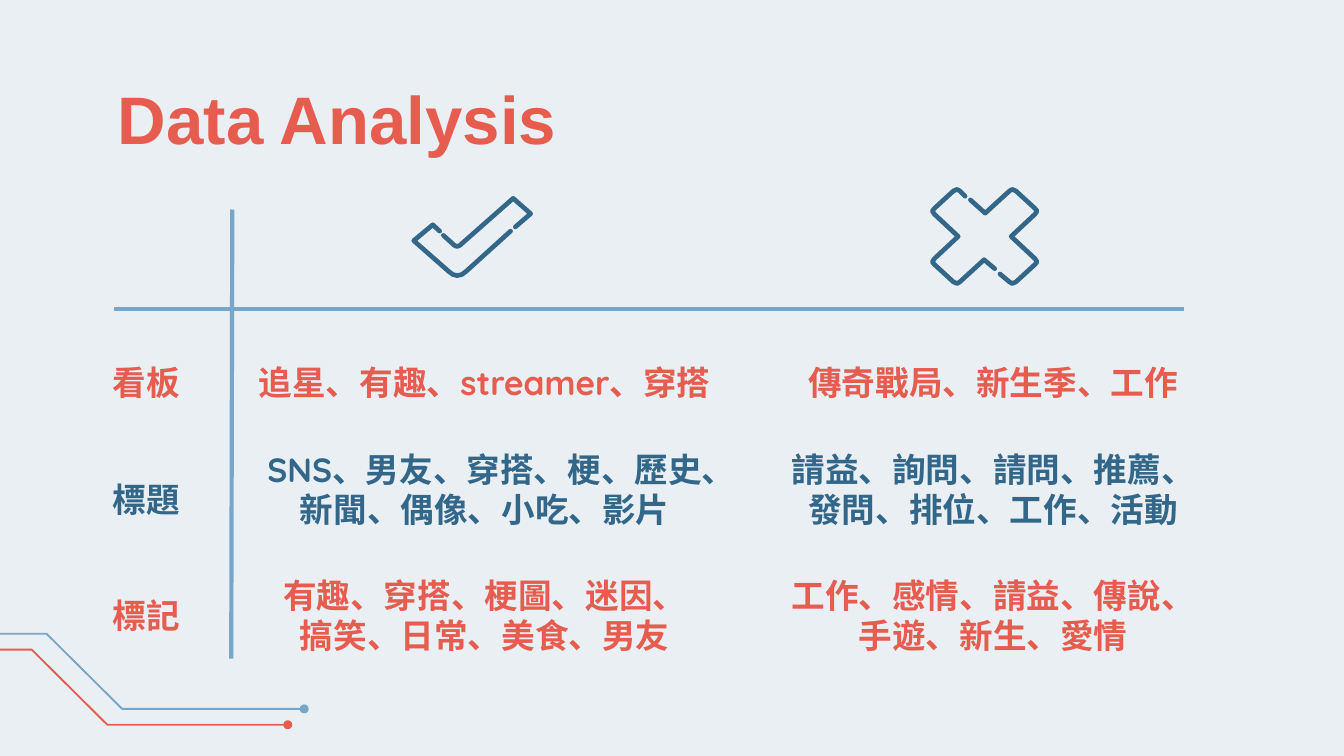
from dataclasses import dataclass

from lxml import etree
from pptx import Presentation
from pptx import util as u
from pptx.dml.color import RGBColor
from pptx.enum import shapes, text
from pptx.oxml.ns import qn


@dataclass(frozen=True)
class Theme:
    background: str = "EAEFF3"
    coral: str = "E65C4F"
    navy: str = "33678A"
    sky: str = "78A6C9"
    title_font: str = "Arial"
    body_font: str = "Quicksand"
    title_size: float = 36
    body_size: float = 18
    rule_width: float = 2.25
    icon_width: float = 2.5
    trace_width: float = 1


class SlideBuilder:
    """Adds styled elements to one slide; all lengths are centimetres."""

    def __init__(self, presentation, theme):
        self.theme = theme
        self.slide = presentation.slides.add_slide(presentation.slide_layouts[5])
        fill = self.slide.background.fill
        fill.solid()
        fill.fore_color.rgb = RGBColor.from_string(theme.background)

    def format_text(self, frame, words, font_name, size, color, align):
        frame.word_wrap = True
        frame.vertical_anchor = text.MSO_ANCHOR.TOP
        frame.margin_left = frame.margin_right = u.Cm(0.25)
        frame.margin_top = frame.margin_bottom = u.Cm(0.25)
        paragraph = frame.paragraphs[0]
        paragraph.text = words
        paragraph.alignment = align
        font = paragraph.font
        font.name, font.size, font.bold = font_name, u.Pt(size), True
        font.color.rgb = RGBColor.from_string(color)
        return paragraph

    def title(self, words, left, top, width, height):
        shape = self.slide.shapes.title
        shape.left, shape.top = u.Cm(left), u.Cm(top)
        shape.width, shape.height = u.Cm(width), u.Cm(height)
        frame = shape.text_frame
        self.format_text(frame, words, self.theme.title_font, self.theme.title_size,
                         self.theme.coral, text.PP_ALIGN.LEFT)
        frame.auto_size = text.MSO_AUTO_SIZE.NONE
        frame.margin_top = u.Cm(0.39)

    def entry(self, words, center, top, width, height, color):
        shape = self.slide.shapes.add_textbox(
            u.Cm(center - width / 2), u.Cm(top), u.Cm(width), u.Cm(height))
        frame = shape.text_frame
        paragraph = self.format_text(frame, words, self.theme.body_font,
                                     self.theme.body_size, color, text.PP_ALIGN.CENTER)
        paragraph.space_after = u.Pt(16)
        frame.auto_size = text.MSO_AUTO_SIZE.SHAPE_TO_FIT_TEXT

    def rule(self, start, end):
        connector = self.slide.shapes.add_connector(
            shapes.MSO_CONNECTOR.STRAIGHT, *map(u.Cm, (*start, *end)))
        connector.line.color.rgb = RGBColor.from_string(self.theme.sky)
        connector.line.width = u.Pt(self.theme.rule_width)
        etree.SubElement(connector.element.spPr, qn("a:effectLst"))

    def stroke(self, points, color, width):
        """Draw an open outline with round ends and corners."""
        start, *others = [(u.Cm(x), u.Cm(y)) for x, y in points]
        builder = self.slide.shapes.build_freeform(*start)
        builder.add_line_segments(others, close=False)
        shape = builder.convert_to_shape()
        shape.shadow.inherit = False
        shape.fill.background()
        shape.line.color.rgb = RGBColor.from_string(color)
        shape.line.width = u.Pt(width)
        outline = shape.element.spPr.find(qn("a:ln"))
        outline.set("cap", "rnd")
        etree.SubElement(outline, qn("a:round"))

    def dot(self, center, diameter, color):
        x, y = center
        shape = self.slide.shapes.add_shape(
            shapes.MSO_SHAPE.OVAL, u.Cm(x - diameter / 2), u.Cm(y - diameter / 2),
            u.Cm(diameter), u.Cm(diameter))
        shape.shadow.inherit = False
        shape.fill.solid()
        shape.fill.fore_color.rgb = RGBColor.from_string(color)
        shape.line.fill.background()

    def trace(self, points, color):
        self.stroke(points, color, self.theme.trace_width)
        self.dot(points[-1], 0.17, color)

    def icon(self, *strokes):
        for points in strokes:
            self.stroke(points, self.theme.navy, self.theme.icon_width)


CHECK_LOWER = [(8.31, 4.37), (8.18, 4.25), (7.82, 4.55), (8.48, 5.13), (8.56, 5.19),
               (8.64, 5.21), (8.73, 5.19), (8.81, 5.13), (9.65, 4.37)]
CHECK_UPPER = [(8.38, 4.45), (8.59, 4.64), (8.64, 4.66), (8.69, 4.64), (9.7, 3.75),
               (10.03, 4.04), (9.74, 4.29)]
CROSS_HALF = [(18.62, 4.03), (19.08, 3.61), (19.13, 3.58), (19.2, 3.61), (19.56, 3.94),
              (19.6, 3.99), (19.56, 4.05), (19.11, 4.47), (19.56, 4.89), (19.6, 4.95),
              (19.56, 5), (19.2, 5.33), (19.13, 5.36), (19.08, 5.33)]
CROSS_CENTER = (18.61, 4.47)

LABEL_CENTER, LIKED_CENTER, DISLIKED_CENTER = 2.77, 9.16, 18.77
LABEL_TOP, LABEL_STEP = 6.6, 2.2


def main():
    theme = Theme()
    presentation = Presentation()
    presentation.slide_width, presentation.slide_height = u.Cm(25.4), u.Cm(14.29)
    builder = SlideBuilder(presentation, theme)

    builder.trace([(0, 11.98), (0.88, 11.98), (2.31, 13.4), (5.75, 13.4)], theme.sky)
    builder.trace([(0, 12.28), (0.6, 12.28), (2.03, 13.7), (5.44, 13.7)], theme.coral)
    builder.title("Data Analysis", 1.98, 1.07, 21.56, 1.7)

    builder.icon(CHECK_LOWER, CHECK_UPPER)
    center_x, center_y = CROSS_CENTER
    opposite_half = [(2 * center_x - x, 2 * center_y - y) for x, y in CROSS_HALF]
    builder.icon([(18.34, 3.78), *CROSS_HALF, (18.9, 5.18)],
                 [(18.8, 5.08), *opposite_half, (18.24, 3.71)])

    builder.rule((2.16, 5.84), (22.38, 5.84))
    # label, liked, liked width, disliked, disliked width, top, height, color
    rows = [
        ("看板", "追星、有趣、streamer、穿搭", 9.09,
         "傳奇戰局、新生季、工作", 9.09, 6.6, 1.27, theme.coral),
        ("標題", "SNS、男友、穿搭、梗、歷史、新聞、偶像、小吃、影片", 9.09,
         "請益、詢問、請問、推薦、發問、排位、工作、活動", 8.38, 8.23, 2.06, theme.navy),
        ("標記", "有趣、穿搭、梗圖、迷因、搞笑、日常、美食、男友", 8.56,
         "工作、感情、請益、傳說、手遊、新生、愛情", 8.38, 10.62, 2.06, theme.coral),
    ]
    for index, row in enumerate(rows):
        label, liked, liked_width, disliked, disliked_width, top, height, color = row
        builder.entry(label, LABEL_CENTER, LABEL_TOP + index * LABEL_STEP, 4.11, 1.27, color)
        builder.entry(liked, LIKED_CENTER, top, liked_width, height, color)
        builder.entry(disliked, DISLIKED_CENTER, top, disliked_width, height, color)
    builder.rule((4.39, 3.96), (4.37, 12.45))

    presentation.save("out.pptx")


if __name__ == "__main__":
    main()
